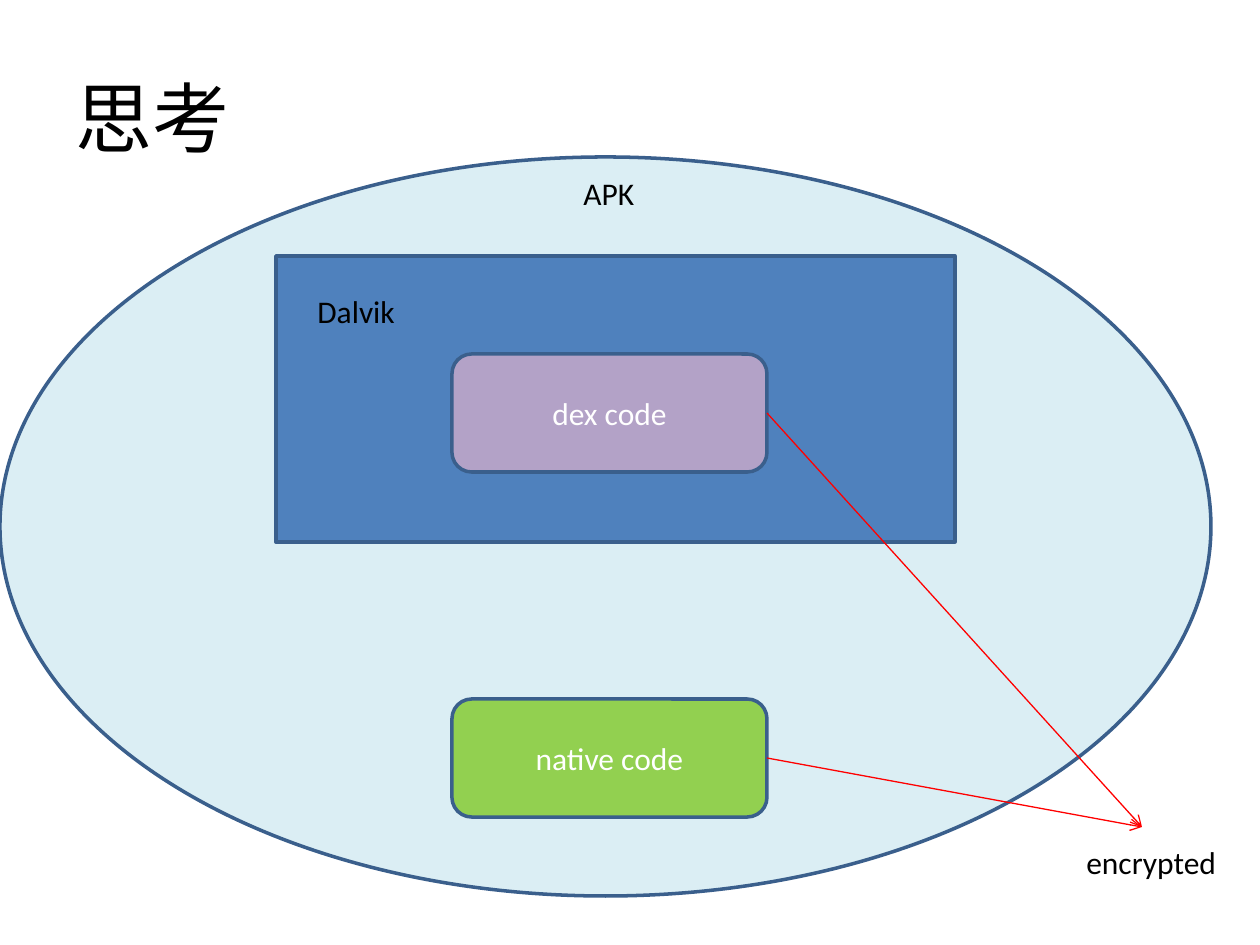
from lxml import etree
from pptx import Presentation
from pptx.dml.color import RGBColor
from pptx.enum.shapes import MSO_CONNECTOR, MSO_SHAPE
from pptx.enum.text import MSO_ANCHOR, PP_ALIGN
from pptx.oxml.ns import qn
from pptx.util import Pt

ELLIPSE, RECT, ROUNDED = MSO_SHAPE.OVAL, MSO_SHAPE.RECTANGLE, MSO_SHAPE.ROUNDED_RECTANGLE
STRAIGHT = MSO_CONNECTOR.STRAIGHT
TOP, MIDDLE = MSO_ANCHOR.TOP, MSO_ANCHOR.MIDDLE
LEFT, CENTER = PP_ALIGN.LEFT, PP_ALIGN.CENTER

EMU_PER_PX = 914400 / 126
BLACK, WHITE, RED = "000000", "FFFFFF", "FF0000"
OUTLINE, PALE_BLUE, BLUE = "3A5F8C", "DBEEF4", "4F81BD"
PURPLE, GREEN = "B3A2C7", "92D050"
CODE_SIZE = (315, 118)


def px(*lengths):
    return [round(length * EMU_PER_PX) for length in lengths]


def color(hex_string):
    return RGBColor.from_string(hex_string)


def write(shape, text, size, ink, align, anchor):
    frame = shape.text_frame
    frame.word_wrap = True
    frame.vertical_anchor = anchor
    paragraph = frame.paragraphs[0]
    paragraph.text = text
    paragraph.alignment = align
    font = paragraph.font
    font.name, font.size = "Calibri", Pt(size)
    font.color.rgb = color(ink)


def add_label(slide, box, text, size=18, anchor=TOP):
    write(slide.shapes.add_textbox(*px(*box)), text, size, BLACK, LEFT, anchor)


def add_block(slide, kind, box, fill):
    block = slide.shapes.add_shape(kind, *px(*box))
    block.shadow.inherit = False
    block.fill.solid()
    block.fill.fore_color.rgb = color(fill)
    block.line.color.rgb = color(OUTLINE)
    block.line.width = Pt(2)
    return block


def add_code(slide, left, top, text, fill):
    """Draw a code block and return the middle of its right side."""
    width, height = CODE_SIZE
    block = add_block(slide, ROUNDED, (left, top, width, height), fill)
    write(block, text, 18, WHITE, CENTER, MIDDLE)
    return left + width, top + height // 2


def add_arrow(slide, start, end):
    arrow = slide.shapes.add_connector(STRAIGHT, *px(*start, *end))
    arrow.line.color.rgb = color(RED)
    arrow.line.width = Pt(0.75)
    etree.SubElement(arrow.line._get_or_add_ln(), qn("a:tailEnd"), type="arrow")
    etree.SubElement(arrow._element.spPr, qn("a:effectLst"))


def draw_dalvik(slide, box):
    left, top, _, _ = box
    add_block(slide, RECT, box, BLUE)
    add_label(slide, (left + 29, top + 30, 118, 50), "Dalvik")
    return add_code(slide, left + 176, top + 98, "dex code", PURPLE)


def draw_apk(slide, box):
    """Draw the package and return the points its arrows leave from."""
    left, top, _, _ = box
    add_block(slide, ELLIPSE, box, PALE_BLUE)
    add_label(slide, (left + 571, top + 11, 186, 50), "APK")
    return [
        draw_dalvik(slide, (left + 276, top + 99, 679, 286)),
        add_code(slide, left + 452, top + 542, "native code", GREEN),
    ]


def draw_encrypted(slide, box, sources):
    left, top, _, _ = box
    for source in sources:
        add_arrow(slide, source, (left + 68, top - 10))
    add_label(slide, box, "encrypted")


prs = Presentation()
prs.slide_width, prs.slide_height = px(1260, 945)
slide = prs.slides.add_slide(prs.slide_layouts[6])

# Package with its two kinds of code
code_exits = draw_apk(slide, (0, 157, 1211, 739))

# Title
add_label(slide, (63, 38, 1134, 157), "思考", 44, MIDDLE)

# Both kinds of code lead to the encrypted note
draw_encrypted(slide, (1074, 837, 186, 50), code_exits)

prs.save("out.pptx")
